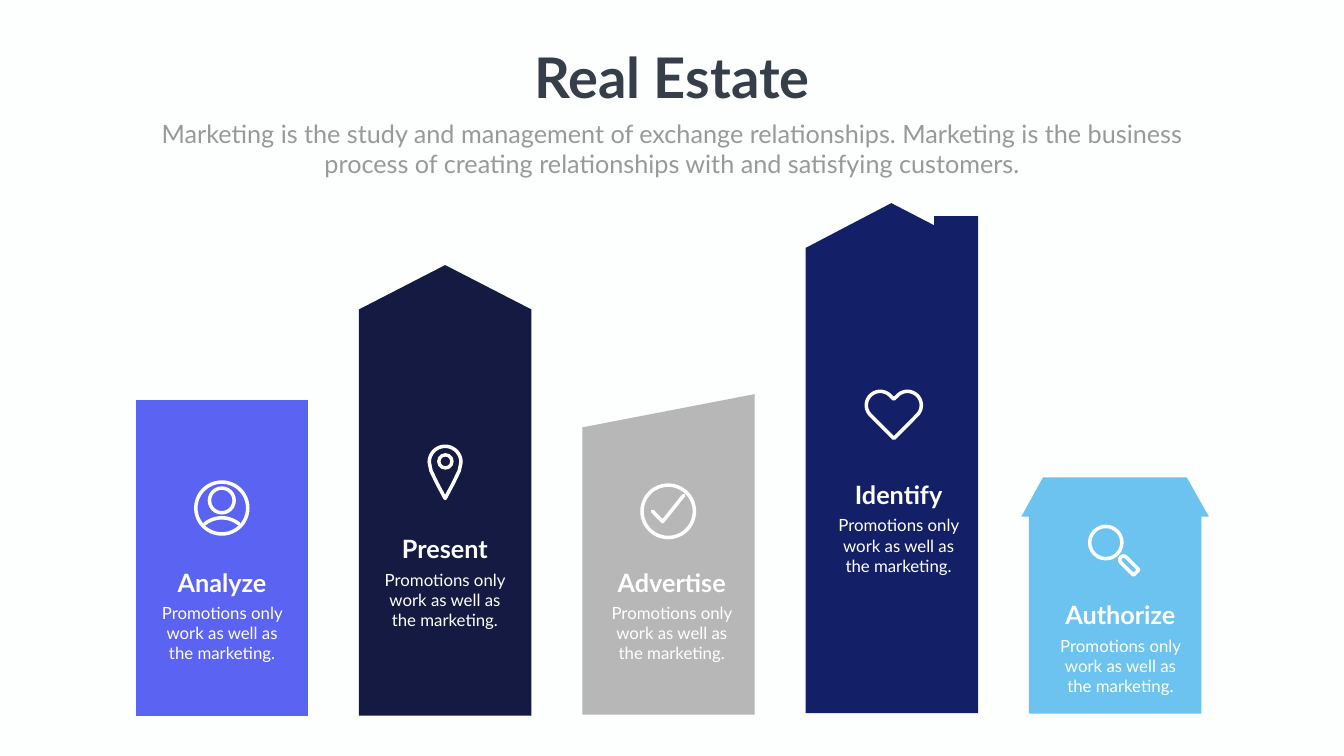
from dataclasses import dataclass
from math import cos, radians, sin
from typing import Optional

from pptx import Presentation
from pptx import util as u
from pptx.dml.color import RGBColor
from pptx.enum import shapes, text
from pptx.oxml.ns import qn

PX = 9144  # 100 px to the inch
Point = tuple[float, float]


@dataclass(frozen=True)
class Theme:
    font: str = "Lato"
    background: str = "FDFFFE"
    heading: str = "363E49"
    subtitle: str = "989998"
    light: str = "FFFFFF"
    title_size: int = 80
    large_size: int = 36
    small_size: int = 24
    icon_stroke: int = 7


@dataclass(frozen=True)
class Building:
    label: str
    color: str
    outline: list[Point]  # x from the column's left edge, y on the slide
    text_left: int
    text_top: int


@dataclass(frozen=True)
class Ring:
    left: int
    top: int
    size: int


@dataclass(frozen=True)
class Stroke:
    points: list[Point]
    closed: bool = False


THEME = Theme()
FIRST_LEFT, PITCH, WIDTH = 269, 443, 342
TEXT_WIDTH, LABEL_HEIGHT, DETAIL_HEIGHT = 261, 71, 131
DETAIL = "Promotions only work as well as the marketing."

BUILDINGS = [
    Building("Analyze", "5A63F2",
             [(0, 793), (WIDTH, 793), (WIDTH, 1420), (0, 1420)], 310, 1120),
    Building("Present", "141A41",
             [(0, 614), (171, 526), (WIDTH, 614), (WIDTH, 1420), (0, 1420)],
             752, 1054),
    Building("Advertise", "B6B7B6",
             [(0, 848), (WIDTH, 782), (WIDTH, 1418), (0, 1418)], 1202, 1120),
    Building("Identify", "132068",
             [(0, 492), (170, 403), (255, 447), (255, 429), (WIDTH, 429),
              (WIDTH, 1415), (0, 1415)], 1652, 946),
    Building("Authorize", "6CC3EF",
             [(28, 947), (313, 947), (357, 1025), (WIDTH, 1025), (WIDTH, 1416),
              (0, 1416), (0, 1025), (-15, 1025)], 2092, 1185),
]


def px(value: float) -> int:
    return u.Emu(round(value * PX))


def arc(x: float, y: float, radius: float, start: int, end: int) -> list[Point]:
    """Points along an arc, in degrees clockwise from the right."""
    steps = 24
    angles = [radians(start + (end - start) * i / steps) for i in range(steps + 1)]
    return [(x + radius * cos(a), y + radius * sin(a)) for a in angles]


RINGS = [
    Ring(385, 953, 110), Ring(412, 965, 56),  # person
    Ring(867, 899, 33),  # pin eye
    Ring(1270, 959, 111),  # check frame
    Ring(2158, 1041, 71),  # lens
]
PIN_SIDE = [(855, 934), (867, 959)]
STROKES = [
    Stroke(arc(440, 1081.5, 54, 231, 309)),  # shoulders
    Stroke(arc(883, 917, 31.5, 180, 360)
           + [(1766 - x, y) for x, y in PIN_SIDE]
           + [(883, 989)] + PIN_SIDE[::-1], closed=True),  # pin
    Stroke([(1294, 1014), (1314.5, 1035), (1356, 983)]),  # check mark
    Stroke(arc(1746, 804, 27.5, 135, 315) + [(1773, 792)]
           + arc(1800, 804, 27.5, 225, 405) + [(1773, 870)], closed=True),  # heart
]


def set_text(shape, content: str, *, size: int, color: str, bold: bool = False,
             wrap: bool = True) -> None:
    frame = shape.text_frame
    frame.text = content
    frame.word_wrap = wrap
    frame.auto_size = text.MSO_AUTO_SIZE.NONE
    frame.vertical_anchor = text.MSO_ANCHOR.TOP
    frame.margin_left = frame.margin_right = px(5)
    frame.margin_top = frame.margin_bottom = px(5)
    paragraph = frame.paragraphs[0]
    paragraph.alignment = text.PP_ALIGN.CENTER
    paragraph.space_before = u.Pt(0)
    paragraph.line_spacing = 1.0
    font = paragraph.runs[0].font
    font.name, font.size, font.bold = THEME.font, u.Pt(size), bold
    font.color.rgb = RGBColor.from_string(color)


def place(shape, left: int, top: int, width: int, height: int) -> None:
    shape.left, shape.top = px(left), px(top)
    shape.width, shape.height = px(width), px(height)


def paint(shape, fill: Optional[str] = None, line: Optional[str] = None) -> None:
    shape.shadow.inherit = False
    if fill:
        shape.fill.solid()
        shape.fill.fore_color.rgb = RGBColor.from_string(fill)
    else:
        shape.fill.background()
    if line:
        shape.line.color.rgb = RGBColor.from_string(line)
        shape.line.width = px(THEME.icon_stroke)
        shape._element.spPr.find(qn("a:ln")).set("cap", "rnd")
    else:
        shape.line.fill.background()


def add_outline(slide, points: list[Point], closed: bool = True):
    start, *rest = [(px(x), px(y)) for x, y in points]
    builder = slide.shapes.build_freeform(*start, scale=1.0)
    builder.add_line_segments(rest, close=closed)
    return builder.convert_to_shape()


def draw_building(slide, building: Building, left: int) -> None:
    body = add_outline(slide, [(left + x, y) for x, y in building.outline])
    paint(body, fill=building.color)
    label = slide.shapes.add_textbox(px(building.text_left), px(building.text_top),
                                     px(TEXT_WIDTH), px(LABEL_HEIGHT))
    set_text(label, building.label, size=THEME.large_size, color=THEME.light, bold=True)
    detail = slide.shapes.add_textbox(
        px(building.text_left), px(building.text_top + LABEL_HEIGHT),
        px(TEXT_WIDTH), px(DETAIL_HEIGHT))
    set_text(detail, DETAIL, size=THEME.small_size, color=THEME.light)


def draw_ring(slide, ring: Ring) -> None:
    donut = slide.shapes.add_shape(shapes.MSO_SHAPE.DONUT, px(ring.left), px(ring.top),
                                   px(ring.size), px(ring.size))
    donut.adjustments[0] = THEME.icon_stroke / ring.size
    paint(donut, fill=THEME.light)


def draw_stroke(slide, stroke: Stroke) -> None:
    paint(add_outline(slide, stroke.points, stroke.closed), line=THEME.light)


def draw_lens_handle(slide) -> None:
    handle = slide.shapes.add_shape(shapes.MSO_SHAPE.ROUND_2_SAME_RECTANGLE,
                                    px(2231), px(1099), px(15), px(43))
    handle.adjustments[0] = 0.5
    handle.rotation = -45
    paint(handle, line=THEME.light)


def main() -> None:
    deck = Presentation()
    deck.slide_width, deck.slide_height = px(2666), px(1500)
    slide = deck.slides.add_slide(deck.slide_layouts[0])
    slide.background.fill.solid()
    slide.background.fill.fore_color.rgb = RGBColor.from_string(THEME.background)

    # Heading
    title, subtitle = slide.placeholders
    place(title, 1042, 80, 582, 145)
    set_text(title, "Real Estate", size=THEME.title_size, color=THEME.heading,
             bold=True, wrap=False)
    place(subtitle, 292, 229, 2082, 131)
    set_text(subtitle, "Marketing is the study and management of exchange relationships. "
             "Marketing is the business process of creating relationships with and "
             "satisfying customers.", size=THEME.large_size, color=THEME.subtitle)

    # Buildings with their labels
    for column, building in enumerate(BUILDINGS):
        draw_building(slide, building, FIRST_LEFT + column * PITCH)

    # Icons
    for ring in RINGS:
        draw_ring(slide, ring)
    for stroke in STROKES:
        draw_stroke(slide, stroke)
    draw_lens_handle(slide)

    deck.save("out.pptx")


if __name__ == "__main__":
    main()
